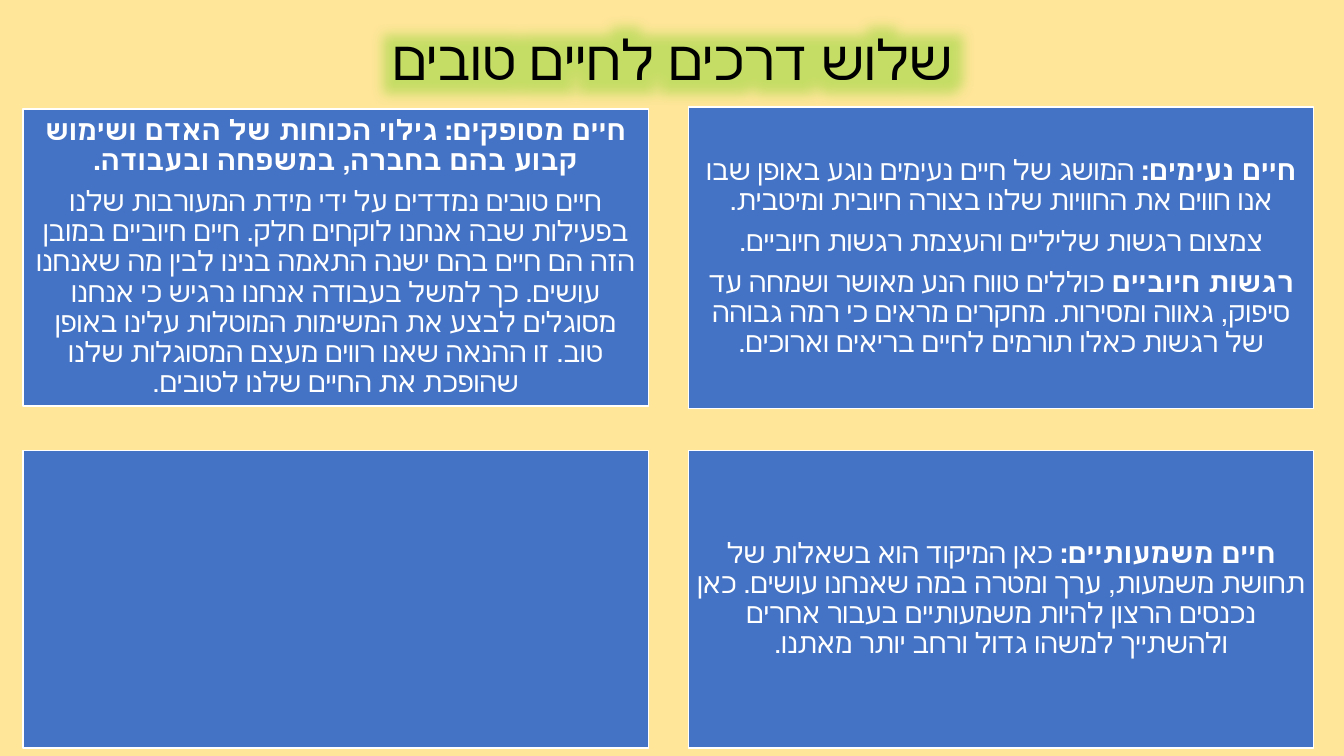
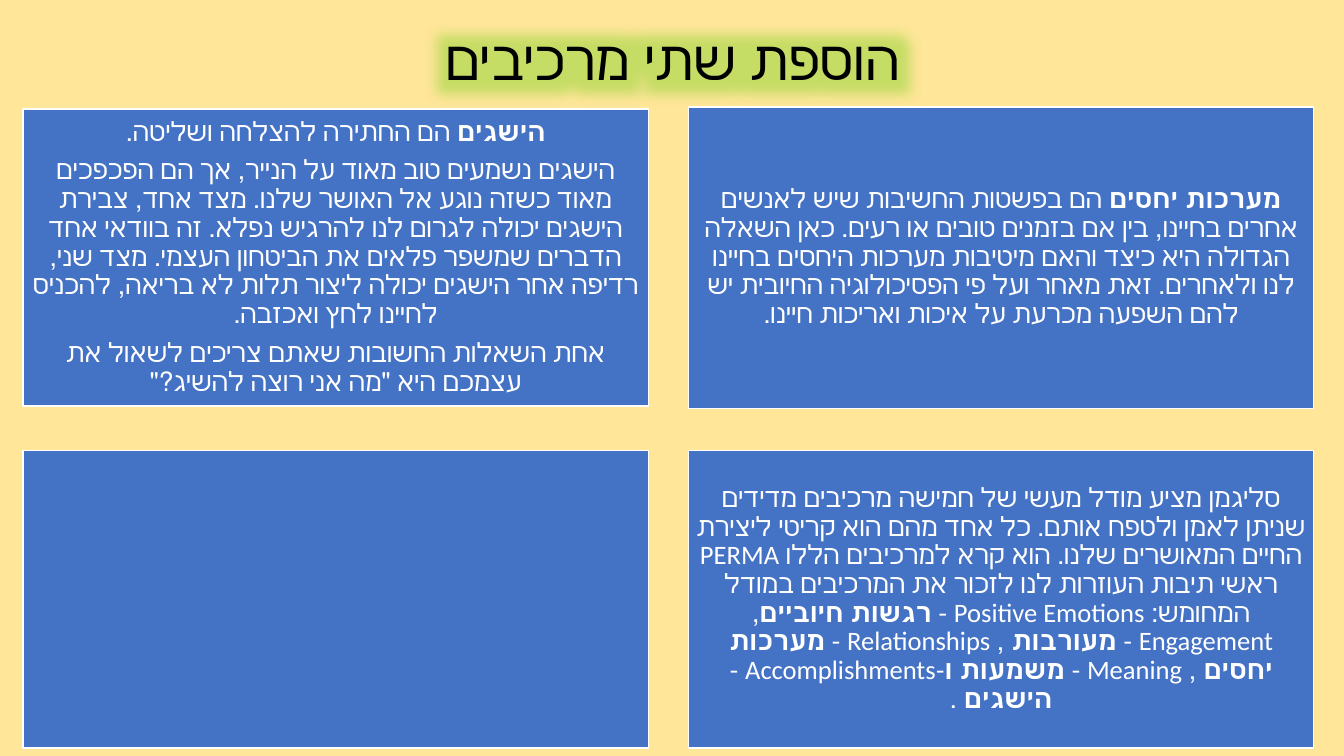
from dataclasses import dataclass

from lxml.etree import SubElement, Element
from pptx import Presentation
from pptx.dml.color import RGBColor
from pptx.enum.shapes import MSO_SHAPE
from pptx.enum.text import MSO_ANCHOR, MSO_AUTO_SIZE, PP_ALIGN
from pptx.oxml.ns import qn
from pptx.util import Inches, Pt


@dataclass(frozen=True)
class Theme:
    """Colours, font and type sizes of the deck."""
    back: str = "FFE699"
    box: str = "4472C4"
    light: str = "FFFFFF"
    dark: str = "000000"
    glow: str = "70D017"
    font: str = "Calibri"
    head: float = 39.6
    large: float = 20
    small: float = 19


THEME = Theme()
LEFT, RIGHT = 0.23, 6.83
WIDTH = 6.2
CELLS = [
    (RIGHT, 1.06, WIDTH, 2.99),
    (LEFT, 1.08, WIDTH, 2.95),
    (RIGHT, 4.47, WIDTH, 2.95),
    (LEFT, 4.47, WIDTH, 2.95),
]

SLIDES = [
    ("שלוש דרכים לחיים טובים", THEME.large, [
        [
            "**חיים נעימים:** המושג של חיים נעימים נוגע באופן שבו אנו חווים את "
            "החוויות שלנו בצורה חיובית ומיטבית.",
            "צמצום רגשות שליליים והעצמת רגשות חיוביים.",
            "**רגשות חיוביים** כוללים טווח הנע מאושר ושמחה עד סיפוק, גאווה "
            "ומסירות. מחקרים מראים כי רמה גבוהה של רגשות כאלו תורמים לחיים "
            "בריאים וארוכים.",
        ],
        [
            "**חיים מסופקים: גילוי הכוחות של האדם ושימוש קבוע בהם בחברה, "
            "במשפחה ובעבודה.**",
            "חיים טובים נמדדים על ידי מידת המעורבות שלנו בפעילות שבה אנחנו "
            "לוקחים חלק. חיים חיוביים במובן הזה הם חיים בהם ישנה התאמה בנינו "
            "לבין מה שאנחנו עושים. כך למשל בעבודה אנחנו נרגיש כי אנחנו "
            "מסוגלים לבצע את המשימות המוטלות עלינו באופן טוב. זו ההנאה שאנו "
            "רווים מעצם המסוגלות שלנו שהופכת את החיים שלנו לטובים.",
        ],
        [
            "**חיים משמעותיים: **כאן המיקוד הוא בשאלות של תחושת משמעות, ערך "
            "ומטרה במה שאנחנו עושים. כאן נכנסים הרצון להיות משמעותיים בעבור "
            "אחרים ולהשתייך למשהו גדול ורחב יותר מאתנו.",
        ],
        [],
    ]),
    ("הוספת שתי מרכיבים", THEME.small, [
        [
            "**מערכות יחסים** הם בפשטות החשיבות שיש לאנשים אחרים בחיינו, בין "
            "אם בזמנים טובים או רעים. כאן השאלה הגדולה היא כיצד והאם מיטיבות "
            "מערכות היחסים בחיינו לנו ולאחרים. זאת מאחר ועל פי הפסיכולוגיה "
            "החיובית יש להם השפעה מכרעת על איכות ואריכות חיינו.",
        ],
        [
            "**הישגים** הם החתירה להצלחה ושליטה.",
            "הישגים נשמעים טוב מאוד על הנייר, אך הם הפכפכים מאוד כשזה נוגע "
            "אל האושר שלנו. מצד אחד, צבירת הישגים יכולה לגרום לנו להרגיש "
            "נפלא. זה בוודאי אחד הדברים שמשפר פלאים את הביטחון העצמי. מצד "
            "שני, רדיפה אחר הישגים יכולה ליצור תלות לא בריאה, להכניס לחיינו "
            "לחץ ואכזבה.",
            "אחת השאלות החשובות שאתם צריכים לשאול את עצמכם היא "
            '"מה אני רוצה להשיג?"',
        ],
        [
            "סליגמן מציע מודל מעשי של חמישה מרכיבים מדידים שניתן לאמן ולטפח "
            "אותם. כל אחד מהם הוא קריטי ליצירת החיים המאושרים שלנו. הוא קרא "
            "למרכיבים הללו PERMA ראשי תיבות העוזרות לנו לזכור את המרכיבים "
            "במודל המחומש: Positive Emotions - **רגשות חיוביים**, "
            "Engagement - **מעורבות **, Relationships - **מערכות יחסים **, "
            "Meaning - **משמעות ו**-Accomplishments - **הישגים **.",
        ],
        [],
    ]),
]


def write(para, text, size, color, after=0):
    """Fill a right-to-left paragraph, with bold between double stars."""
    para.alignment = PP_ALIGN.CENTER
    para.line_spacing = 0.9
    para.space_before = Pt(0)
    para.space_after = Pt(after)
    para._p.get_or_add_pPr().set("rtl", "1")
    for index, part in enumerate(text.split("**")):
        if not part:
            continue
        run = para.add_run()
        run.text = part
        font = run.font
        font.size = Pt(size)
        font.bold = index % 2 == 1
        font.name = THEME.font
        font.color.rgb = RGBColor.from_string(color)
        run._r.get_or_add_rPr().set("lang", "he-IL")


def shine(run):
    """Put a soft green glow around a run."""
    effects = Element(qn("a:effectLst"))
    glow = SubElement(effects, qn("a:glow"), rad=str(Pt(40)))
    color = SubElement(glow, qn("a:srgbClr"), val=THEME.glow)
    SubElement(color, qn("a:alpha"), val="40000")
    run._r.get_or_add_rPr().find(qn("a:solidFill")).addnext(effects)


def place(shape, left, top, width, height):
    """Set the position and size of a shape in inches."""
    shape.left, shape.top = Inches(left), Inches(top)
    shape.width, shape.height = Inches(width), Inches(height)


def add_title(slide, text):
    """Move and format the title placeholder."""
    title = slide.shapes.title
    place(title, 0.92, 0.4, 11.5, 0.44)
    frame = title.text_frame
    frame.auto_size = MSO_AUTO_SIZE.NONE
    frame.vertical_anchor = MSO_ANCHOR.MIDDLE
    para = frame.paragraphs[0]
    write(para, text, size=THEME.head, color=THEME.dark)
    shine(para.runs[0])


def add_box(slide, cell, lines, size):
    """Draw a blue box holding centred paragraphs."""
    box = slide.shapes.add_shape(MSO_SHAPE.RECTANGLE, *map(Inches, cell))
    box.shadow.inherit = False
    box.fill.solid()
    box.fill.fore_color.rgb = RGBColor.from_string(THEME.box)
    box.line.color.rgb = RGBColor.from_string(THEME.light)
    box.line.width = Pt(1)
    frame = box.text_frame
    frame.word_wrap = True
    frame.vertical_anchor = MSO_ANCHOR.MIDDLE
    frame.margin_left = frame.margin_right = Inches(0.08)
    frame.margin_top = frame.margin_bottom = Inches(0.08)
    for index, line in enumerate(lines):
        para = frame.add_paragraph() if index else frame.paragraphs[0]
        write(para, line, size=size, color=THEME.light, after=round(size * 0.375, 1))


def main():
    """Build the deck and save it."""
    deck = Presentation()
    deck.slide_width, deck.slide_height = Inches(13.33), Inches(7.5)
    fill = deck.slide_master.background.fill
    fill.solid()
    fill.fore_color.rgb = RGBColor.from_string(THEME.back)
    for title, size, texts in SLIDES:
        slide = deck.slides.add_slide(deck.slide_layouts[5])
        add_title(slide, title)
        for cell, lines in zip(CELLS, texts):
            add_box(slide, cell, lines, size)
    deck.save("out.pptx")


if __name__ == "__main__":
    main()
